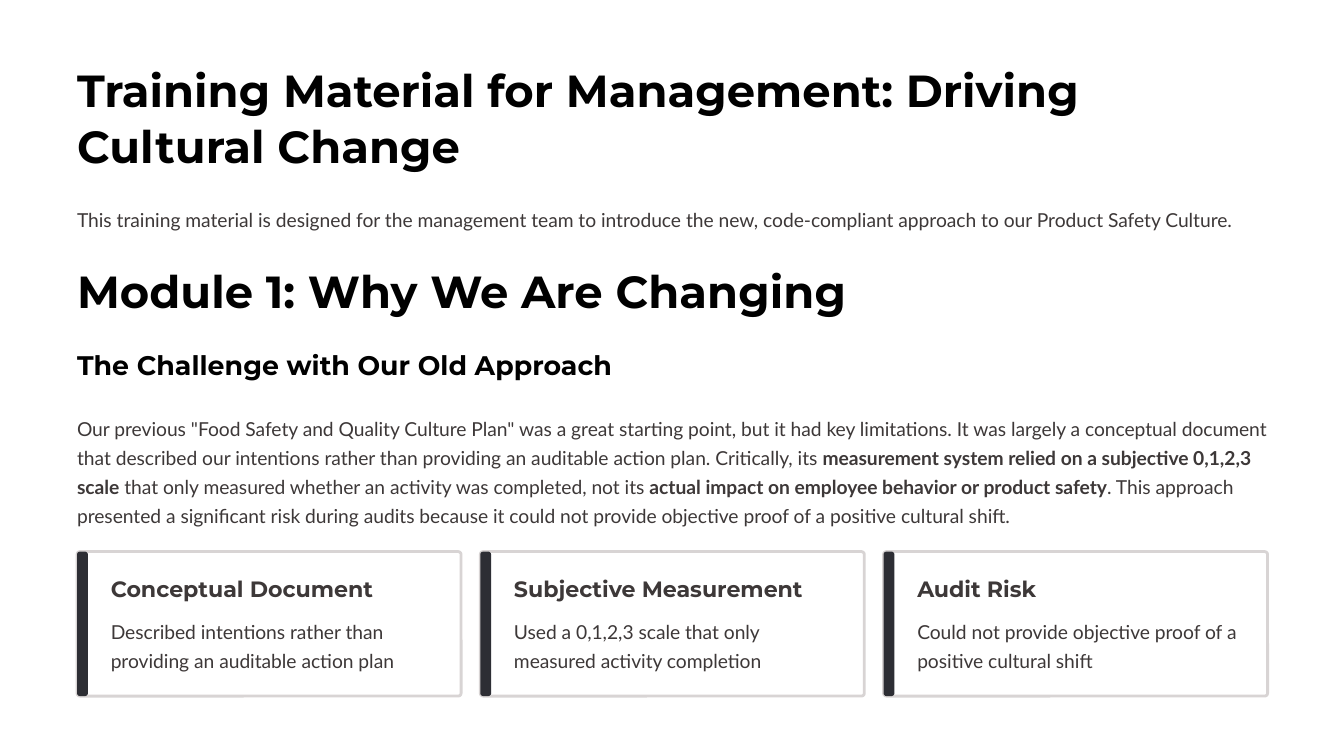
from dataclasses import dataclass

import pptx
import pptx.dml.color
import pptx.enum.shapes
import pptx.enum.text
import pptx.util
from pptx.dml.color import RGBColor
from pptx.util import Cm

WHITE = RGBColor(0xFF, 0xFF, 0xFF)
BLACK = RGBColor(0x00, 0x00, 0x00)
BODY = RGBColor(0x3D, 0x38, 0x38)
BORDER = RGBColor(0xD8, 0xD4, 0xD4)
ACCENT = RGBColor(0x2D, 0x2E, 0x34)

LEFT = 2.33
WIDTH = 36.0
CARD_TOP = 16.68
CARD_HEIGHT = 4.37
CARD_GAP = 0.58
BAR_WIDTH = 0.33
CARD_INSET = 1.02
CARD_TEXT_WIDTH = 9.91


@dataclass(frozen=True)
class Style:
    font: str
    size: float
    spacing: float
    color: RGBColor
    bold: bool = False


@dataclass(frozen=True)
class Run:
    text: str
    bold: bool = False


@dataclass(frozen=True)
class Block:
    top: float
    height: float
    style: Style
    runs: tuple[Run, ...]


@dataclass(frozen=True)
class Card:
    heading: str
    text: str


HEADING = Style("Montserrat", 38.5, 48, BLACK, True)
SUBHEADING = Style("Montserrat", 23, 28.5, BLACK, True)
CARD_HEADING = Style("Montserrat", 19, 24, BODY, True)
PLAIN = Style("Lato", 16.5, 25, BODY)

TITLE = Block(1.83, 3.4, HEADING, (
    Run("Training Material for Management: Driving Cultural Change"),))

BLOCKS = (
    Block(6.12, 0.89, PLAIN, (
        Run("This training material is designed for the management team to introduce "
            "the new, code-compliant approach to our Product Safety Culture."),)),
    Block(7.9, 1.7, HEADING, (Run("Module 1: Why We Are Changing"),)),
    Block(10.52, 1.02, SUBHEADING, (Run("The Challenge with Our Old Approach"),)),
    Block(12.42, 3.58, PLAIN, (
        Run('Our previous "Food Safety and Quality Culture Plan" was a great starting '
            "point, but it had key limitations. It was largely a conceptual document "
            "that described our intentions rather than providing an auditable action "
            "plan. Critically, its "),
        Run("measurement system relied on a subjective 0,1,2,3 scale", True),
        Run(" that only measured whether an activity was completed, not its "),
        Run("actual impact on employee behavior or product safety", True),
        Run(". This approach presented a significant risk during audits because it "
            "could not provide objective proof of a positive cultural shift."))),
)

CARDS = (
    Card("Conceptual Document",
         "Described intentions rather than providing an auditable action plan"),
    Card("Subjective Measurement",
         "Used a 0,1,2,3 scale that only measured activity completion"),
    Card("Audit Risk",
         "Could not provide objective proof of a positive cultural shift"),
)


def fill_text(sp, left: float, width: float, block: Block) -> None:
    sp.left, sp.top = Cm(left), Cm(block.top)
    sp.width, sp.height = Cm(width), Cm(block.height)
    tf = sp.text_frame
    tf.word_wrap = True
    tf.auto_size = pptx.enum.text.MSO_AUTO_SIZE.NONE
    tf.vertical_anchor = pptx.enum.text.MSO_ANCHOR.TOP
    tf.margin_left = tf.margin_top = tf.margin_right = tf.margin_bottom = 0
    p = tf.paragraphs[0]
    p.alignment = pptx.enum.text.PP_ALIGN.LEFT
    p.line_spacing = pptx.util.Pt(block.style.spacing)
    for run in block.runs:
        r = p.add_run()
        r.text = run.text
        r.font.name = block.style.font
        r.font.size = pptx.util.Pt(block.style.size)
        r.font.bold = block.style.bold or run.bold
        r.font.color.rgb = block.style.color


def add_text(s, left: float, width: float, block: Block) -> None:
    fill_text(s.shapes.add_textbox(0, 0, 0, 0), left, width, block)


def add_panel(s, left: float, width: float, radius: float, color: RGBColor):
    sp = s.shapes.add_shape(
        pptx.enum.shapes.MSO_SHAPE.ROUNDED_RECTANGLE,
        Cm(left), Cm(CARD_TOP), Cm(width), Cm(CARD_HEIGHT))
    sp.adjustments[0] = radius
    sp.shadow.inherit = False
    sp.fill.solid()
    sp.fill.fore_color.rgb = color
    sp.line.fill.background()
    return sp


def add_card(s, left: float, width: float, card: Card) -> None:
    frame = add_panel(s, left, width, 0.02, WHITE)
    frame.line.color.rgb = BORDER
    frame.line.width = pptx.util.Pt(2.4)
    add_panel(s, left, BAR_WIDTH, 0.27, ACCENT)
    text_left = left + CARD_INSET
    add_text(s, text_left, CARD_TEXT_WIDTH,
             Block(CARD_TOP + 0.67, 0.84, CARD_HEADING, (Run(card.heading),)))
    add_text(s, text_left, CARD_TEXT_WIDTH,
             Block(CARD_TOP + 1.89, 1.8, PLAIN, (Run(card.text),)))


def main() -> None:
    prs = pptx.Presentation()
    prs.slide_width, prs.slide_height = Cm(40.64), Cm(22.86)
    s = prs.slides.add_slide(prs.slide_layouts[5])
    s.background.fill.solid()
    s.background.fill.fore_color.rgb = WHITE

    fill_text(s.shapes.title, LEFT, WIDTH, TITLE)
    for block in BLOCKS:
        add_text(s, LEFT, WIDTH, block)

    card_width = (WIDTH - CARD_GAP * (len(CARDS) - 1)) / len(CARDS)
    for i, card in enumerate(CARDS):
        add_card(s, LEFT + i * (card_width + CARD_GAP), card_width, card)

    prs.save("out.pptx")


if __name__ == "__main__":
    main()
